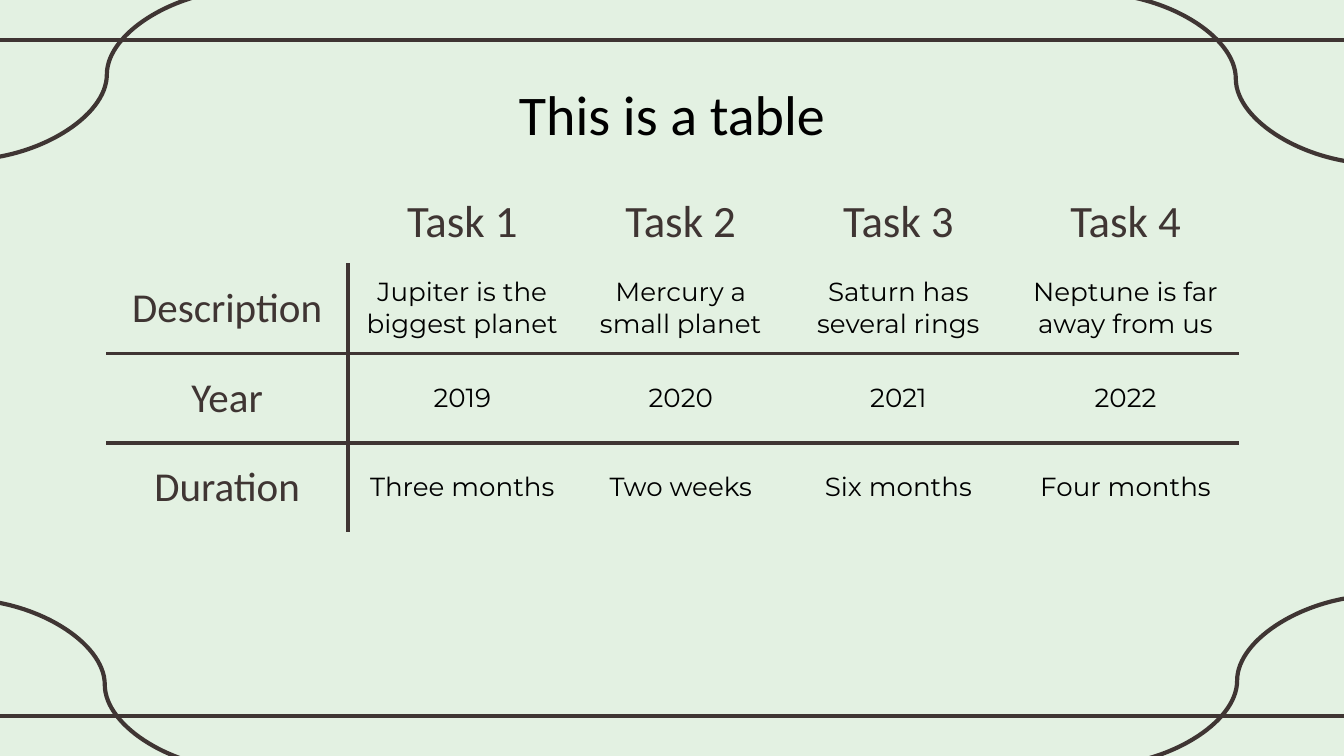
import pptx
import pptx.dml.color
import pptx.enum.shapes
import pptx.enum.text
import pptx.oxml
import pptx.oxml.ns
import pptx.util

BACKGROUND, INK, BLACK = "E3F1E2", "3F3533", "000000"
HEADING_FONT, BODY_FONT = "Calibri", "Montserrat"
LINE_WIDTH = pptx.util.Pt(2.25)
COLUMNS, ROWS = 100, 56.25
CENTER = pptx.enum.text.PP_ALIGN.CENTER
MIDDLE = pptx.enum.text.MSO_ANCHOR.MIDDLE
STRAIGHT = pptx.enum.shapes.MSO_CONNECTOR.STRAIGHT
CURVE = pptx.enum.shapes.MSO_CONNECTOR.CURVE

TABLE = [
    ["", "Task 1", "Task 2", "Task 3", "Task 4"],
    ["Description", "Jupiter is the biggest planet", "Mercury a small planet",
     "Saturn has several rings", "Neptune is far away from us"],
    ["Year", "2019", "2020", "2021", "2022"],
    ["Duration", "Three months", "Two weeks", "Six months", "Four months"],
]


def color(value):
    return pptx.dml.color.RGBColor.from_string(value)


def grid(units):
    return pptx.util.Inches(units / 10)


class SlideBuilder:
    """Draws styled elements on one slide, measured in grid columns and rows."""

    def __init__(self, presentation):
        self.slide = presentation.slides.add_slide(presentation.slide_layouts[5])
        self.slide.background.fill.solid()
        self.slide.background.fill.fore_color.rgb = color(BACKGROUND)

    def connector(self, kind, start, end):
        line = self.slide.shapes.add_connector(kind, *map(grid, start + end))
        line.line.color.rgb = color(INK)
        line.line.width = LINE_WIDTH
        line._element.spPr.append(pptx.oxml.parse_xml(
            f"<a:effectLst {pptx.oxml.ns.nsdecls('a')}/>"))

    def format_text(self, frame, text, font, size, ink):
        frame.text = text
        paragraph = frame.paragraphs[0]
        paragraph.alignment = CENTER
        paragraph.font.name = font
        paragraph.font.size = pptx.util.Pt(size)
        paragraph.font.color.rgb = color(ink)

    def title(self, text, left, top, width, height):
        shape = self.slide.shapes.title
        shape.left, shape.top = grid(left), grid(top)
        shape.width, shape.height = grid(width), grid(height)
        frame = shape.text_frame
        frame.auto_size = pptx.enum.text.MSO_AUTO_SIZE.NONE
        frame.vertical_anchor = pptx.enum.text.MSO_ANCHOR.TOP
        frame.margin_left = frame.margin_right = grid(1)
        frame.margin_top = frame.margin_bottom = grid(1)
        self.format_text(frame, text, HEADING_FONT, 30, BLACK)

    def borders(self, cell, visible):
        properties = cell._tc.get_or_add_tcPr()
        for index, side in enumerate("LRTB"):
            paint = "<a:noFill/>"
            if side in visible:
                paint = f'<a:solidFill><a:srgbClr val="{INK}"/></a:solidFill>'
            properties.insert(index, pptx.oxml.parse_xml(
                f"<a:ln{side} {pptx.oxml.ns.nsdecls('a')} w=\"{LINE_WIDTH}\">"
                f"{paint}</a:ln{side}>"))

    def table(self, content, left, top, widths, heights):
        frame = self.slide.shapes.add_table(
            len(heights), len(widths), grid(left), grid(top),
            grid(sum(widths)), grid(sum(heights)))
        table = frame.table
        table.first_row = table.horz_banding = False
        for column, width in zip(table.columns, widths):
            column.width = grid(width)
        for row, height in zip(table.rows, heights):
            row.height = grid(height)
        for row, texts in enumerate(content):
            for column, text in enumerate(texts):
                cell = table.cell(row, column)
                cell.fill.background()
                cell.vertical_anchor = MIDDLE
                cell.margin_left = cell.margin_right = grid(1)
                cell.margin_top = cell.margin_bottom = grid(1)
                if row == 0:
                    style = HEADING_FONT, 24, INK
                elif column == 0:
                    style = HEADING_FONT, 22, INK
                else:
                    style = BODY_FONT, 14, BLACK
                if text:
                    self.format_text(cell.text_frame, text, *style)
                visible = ""
                if row > 0:
                    visible += {0: "R", 1: "L"}.get(column, "")
                    visible += "T" if row > 1 else ""
                    visible += "B" if row < len(content) - 1 else ""
                self.borders(cell, visible)


def main():
    presentation = pptx.Presentation()
    presentation.slide_width = grid(COLUMNS)
    presentation.slide_height = grid(ROWS)
    builder = SlideBuilder(presentation)
    for height in (3, 53.3):
        builder.connector(STRAIGHT, (-0.8, height), (COLUMNS + 0.8, height))
    corner_curves = [
        ((-2.7, 44.6), (18.3, 57.3)),
        ((81.4, -0.5), (102.5, 12.2)),
        ((102.6, 44.3), (81.5, 57)),
        ((18.5, -0.8), (-2.6, 11.9)),
    ]
    for start, end in corner_curves:
        builder.connector(CURVE, start, end)
    builder.title("This is a table", 7.8, 4.9, 84.4, 6.3)
    builder.table(TABLE, 7.9, 13.5, [18, 17, 15.5, 16.9, 16.9], [5.3] + [6.64] * 3)
    presentation.save("out.pptx")


if __name__ == "__main__":
    main()
